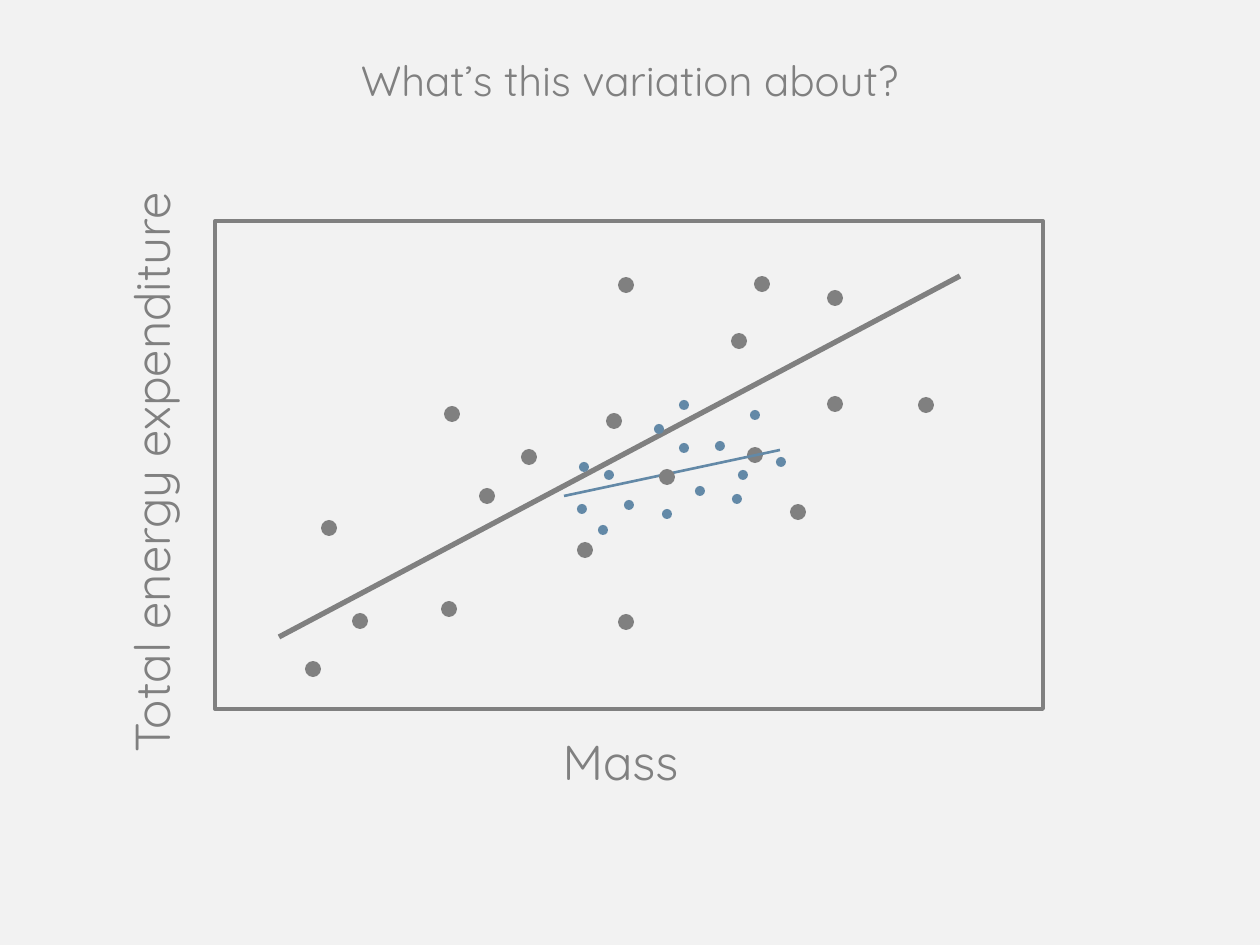
from lxml import etree
from pptx import Presentation
from pptx import util as u
from pptx.dml.color import RGBColor
from pptx.enum import shapes, text
from pptx.oxml.ns import qn

PX = 914400 // 126
GREY = RGBColor(0x80, 0x80, 0x80)
BLUE = RGBColor(0x63, 0x89, 0xA7)
PAPER = RGBColor(0xF2, 0xF2, 0xF2)
FONT = "Quicksand"

FRAME = (215, 221, 828, 488)
MIDDLE, TOP = text.MSO_ANCHOR.MIDDLE, text.MSO_ANCHOR.TOP
AXIS_LABELS = [
    ("Mass", (522, 708, 197, 113), 28, MIDDLE, 0),
    ("Total energy expenditure", (-151, 416, 611, 113), 28, MIDDLE, 270),
]
TITLE = ("What’s this variation about?", (179, 54, 901, 71), 24, TOP, 0)

BROAD_TREND = ((279, 637), (960, 276), GREY, 3)
NARROW_TREND = ((564, 496), (780, 450), BLUE, 1.5)

BROAD_SIZE, NARROW_SIZE = 16, 10
BROAD_POINTS = [
    (626, 622), (626, 285), (798, 512), (529, 457), (452, 414), (329, 528),
    (313, 669), (449, 609), (585, 550), (739, 341), (755, 455), (926, 405),
    (835, 298), (614, 421), (487, 496), (360, 621), (762, 284), (835, 404),
]
NARROW_POINTS = [
    (582, 509), (609, 475), (603, 530), (659, 429), (720, 446),
    (781, 462), (700, 491), (629, 505), (684, 405), (743, 475),
    (667, 514), (684, 448), (737, 499), (755, 415), (584, 467),
]
FRONT_POINT = (667, 477)


def emu(*lengths):
    return [round(length * PX) for length in lengths]


def set_all(target, values):
    for name, value in values.items():
        setattr(target, name, value)


def add_frame(page):
    frame = page.shapes.add_shape(shapes.MSO_SHAPE.RECTANGLE, *emu(*FRAME))
    frame.shadow.inherit = False
    frame.fill.background()
    frame.line.color.rgb = GREY
    frame.line.width = u.Pt(2.25)


def add_trend(page, start, end, color, width):
    trend = page.shapes.add_connector(
        shapes.MSO_CONNECTOR.STRAIGHT, *emu(*start, *end))
    trend.line.color.rgb = color
    trend.line.width = u.Pt(width)
    etree.SubElement(trend._element.spPr, qn("a:effectLst"))


def add_label(page, words, place, size, anchor, rotation):
    box = page.shapes.add_textbox(*emu(*place))
    box.rotation = rotation
    set_all(box.text_frame, {"word_wrap": True, "vertical_anchor": anchor})
    para = box.text_frame.paragraphs[0]
    set_all(para, {"alignment": text.PP_ALIGN.CENTER, "line_spacing": 0.9})
    span = para.add_run()
    span.text = words
    set_all(span.font, {"name": FONT, "size": u.Pt(size)})
    span.font.color.rgb = GREY


def add_points(parent, points, size, color):
    for x, y in points:
        dot = parent.shapes.add_shape(
            shapes.MSO_SHAPE.OVAL, *emu(x - size / 2, y - size / 2, size, size))
        dot.shadow.inherit = False
        dot.fill.solid()
        dot.fill.fore_color.rgb = color
        dot.line.fill.background()


def main():
    deck = Presentation()
    set_all(deck, {"slide_width": u.Inches(10), "slide_height": u.Inches(7.5)})
    page = deck.slides.add_slide(deck.slide_layouts[6])
    page.background.fill.solid()
    page.background.fill.fore_color.rgb = PAPER

    add_frame(page)
    add_trend(page, *BROAD_TREND)
    for label in AXIS_LABELS:
        add_label(page, *label)
    add_points(page, BROAD_POINTS, BROAD_SIZE, GREY)
    add_label(page, *TITLE)
    add_trend(page, *NARROW_TREND)
    add_points(page.shapes.add_group_shape(), NARROW_POINTS, NARROW_SIZE, BLUE)
    add_points(page, [FRONT_POINT], BROAD_SIZE, GREY)
    deck.save("out.pptx")


if __name__ == "__main__":
    main()
